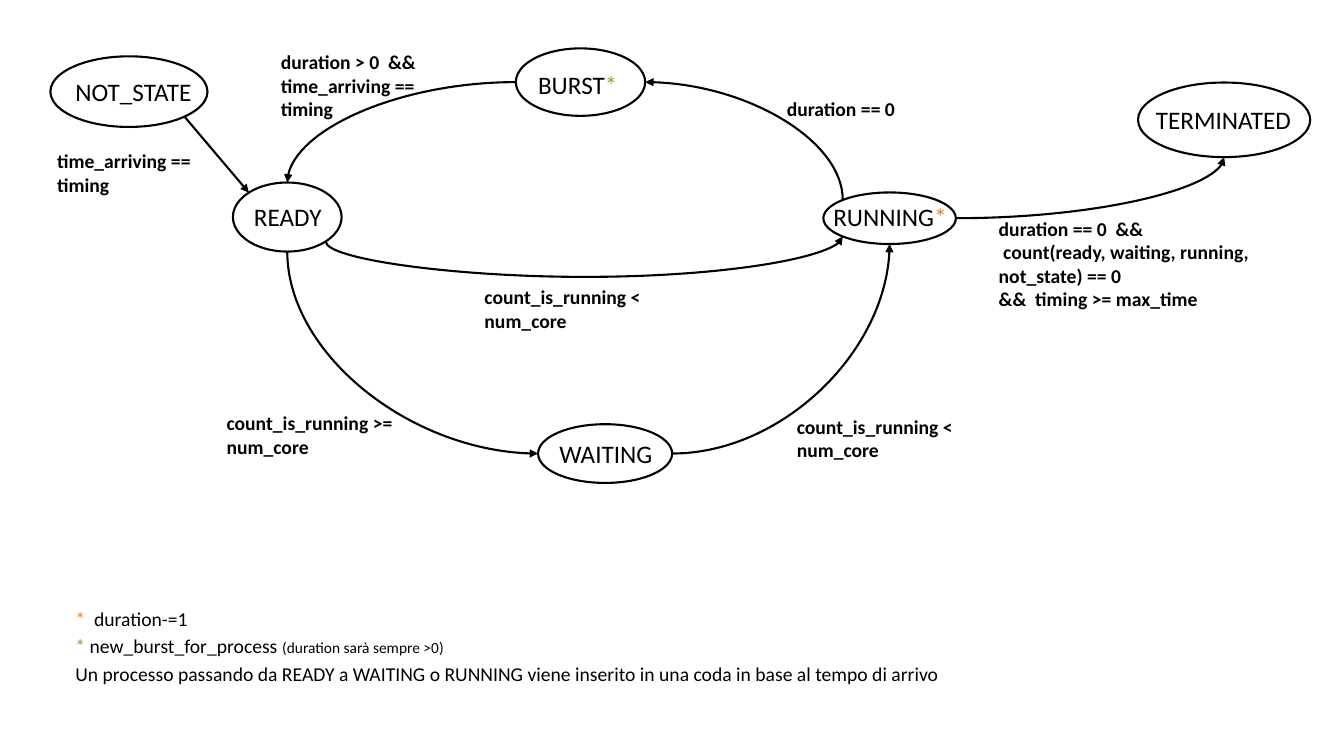
"""Build a one-slide state diagram of a process scheduler."""
from dataclasses import dataclass
from math import cos, radians, sin
from typing import NamedTuple

from lxml.etree import SubElement
from pptx import Presentation
from pptx.dml.color import RGBColor
from pptx.enum.shapes import MSO_CONNECTOR, MSO_SHAPE
from pptx.enum.text import MSO_AUTO_SIZE
from pptx.oxml.ns import qn
from pptx.shapes.autoshape import Shape
from pptx.slide import Slide
from pptx.util import Cm, Pt


@dataclass(frozen=True)
class Theme:
    """Colours, font and sizes of the slide."""
    font: str = "Calibri"
    ink: RGBColor = RGBColor(0x00, 0x00, 0x00)
    paper: RGBColor = RGBColor(0xFF, 0xFF, 0xFF)
    orange: RGBColor = RGBColor(0xED, 0x7D, 0x31)
    green: RGBColor = RGBColor(0x70, 0xAD, 0x47)
    state: Pt = Pt(18)
    label: Pt = Pt(14)
    note: Pt = Pt(11)
    line: Pt = Pt(1.5)


THEME = Theme()


class Span(NamedTuple):
    """A piece of text with its own colour or size."""
    text: str
    color: RGBColor | None = None
    size: Pt | None = None


class Box(NamedTuple):
    """A rectangle in centimetres."""
    left: float
    top: float
    width: float
    height: float


class State(NamedTuple):
    """An ellipse and the box of its name."""
    ellipse: Box
    name_box: Box
    name: tuple[Span, ...]


class Label(NamedTuple):
    """A text block, one tuple of spans per paragraph."""
    box: Box
    paragraphs: tuple[tuple[Span, ...], ...]


class Arrow(NamedTuple):
    """A transition between ellipse sites, counted anticlockwise from the top."""
    start: str
    start_site: int
    end: str
    end_site: int
    preset: str = "curvedConnector2"
    rotation: int = 0
    flips: str = ""
    dip: float = 0


STATES = {
    "not_state": State(Box(1.27, 1.42, 3.96, 1.78), Box(1.65, 1.8, 3.58, 1.02), (Span("NOT_STATE"),)),
    "ready": State(Box(5.87, 4.6, 2.74, 1.74), Box(6.15, 4.96, 2.46, 1.02), (Span("READY"),)),
    "waiting": State(Box(13.56, 10.69, 3.38, 1.48), Box(13.85, 10.92, 3.1, 1.02), (Span("WAITING"),)),
    "running": State(Box(20.75, 4.85, 3.34, 1.3), Box(20.75, 4.96, 3.96, 1.02),
                     (Span("RUNNING"), Span("*", THEME.orange))),
    "burst": State(Box(13, 1.22, 3.26, 1.7), Box(13.31, 1.62, 2.92, 1.02),
                   (Span("BURST"), Span("*", THEME.green))),
    "terminated": State(Box(28.68, 2.08, 4.34, 1.88), Box(28.88, 2.51, 4.09, 1.02), (Span("TERMINATED"),)),
}

ARROWS = (
    Arrow("not_state", 5, "ready", 1, "straightConnector1"),
    Arrow("ready", 4, "waiting", 2, rotation=270, flips="H"),
    Arrow("waiting", 6, "running", 4, flips="V"),
    Arrow("ready", 5, "running", 3, "curvedConnector3", 90, "HV", 0.89),
    Arrow("running", 1, "burst", 6, rotation=270, flips="V"),
    Arrow("burst", 2, "ready", 0, rotation=180, flips="V"),
    Arrow("running", 6, "terminated", 4, flips="V"),
)

CONDITIONS = (
    Label(Box(1.19, 3.63, 4.52, 1.45), ((Span("time_arriving == timing"),),)),
    Label(Box(5.46, 10.24, 5.87, 1.45), ((Span("count_is_running >= num_core"),),)),
    Label(Box(11.96, 7.06, 5.5, 1.45), ((Span("count_is_running < num_core"),),)),
    Label(Box(19.83, 10.32, 5.87, 1.45), ((Span("count_is_running < num_core"),),)),
    Label(Box(19.58, 2.31, 3.53, 0.86), ((Span("duration == 0"),),)),
    Label(Box(6.83, 1.14, 4.65, 2.06), ((Span("duration > 0  && time_arriving == timing"),),)),
    Label(Box(24.92, 5.33, 8.69, 2.64), (
        (Span("duration == 0  &&"),),
        (Span(" count(ready, waiting, running, not_state) == 0"),),
        (Span("&&  timing >= max_time"),),
    )),
)

LEGEND_LEFT, LEGEND_TOP, LEGEND_PITCH = 1.65, 15.16, 0.7
LEGEND = (
    (3.58, (Span("* ", THEME.orange), Span(" duration-=1"))),
    (10.36, (Span("* ", THEME.green), Span("new_burst_for_process "),
             Span("(duration sarà sempre >0)", size=THEME.note))),
    (22.35, (Span("Un processo passando da READY a WAITING o RUNNING viene inserito "
                  "in una coda in base al tempo di arrivo"),)),
)


def add_text(s: Slide, label: Label, size: Pt, bold: bool = False) -> None:
    """Add a wrapping text box."""
    tf = s.shapes.add_textbox(*map(Cm, label.box)).text_frame
    tf.word_wrap = True
    tf.auto_size = MSO_AUTO_SIZE.SHAPE_TO_FIT_TEXT
    for i, spans in enumerate(label.paragraphs):
        p = tf.add_paragraph() if i else tf.paragraphs[0]
        p.font.name, p.font.size, p.font.bold = THEME.font, size, bold
        p.font.color.rgb = THEME.ink
        for span in spans:
            r = p.add_run()
            r.text = span.text
            if span.color is not None:
                r.font.color.rgb = span.color
            if span.size is not None:
                r.font.size = span.size


def add_state(s: Slide, state: State) -> Shape:
    """Add an ellipse with its name on top."""
    sp = s.shapes.add_shape(MSO_SHAPE.OVAL, *map(Cm, state.ellipse))
    sp.shadow.inherit = False
    sp.fill.solid()
    sp.fill.fore_color.rgb = THEME.paper
    sp.line.color.rgb = THEME.ink
    sp.line.width = THEME.line
    add_text(s, Label(state.name_box, (state.name,)), THEME.state)
    return sp


def site_point(box: Box, site: int) -> tuple[float, float]:
    """Return the position of an ellipse connection site."""
    angle = radians(45 * site)
    return (box.left + box.width / 2 * (1 - sin(angle)),
            box.top + box.height / 2 * (1 - cos(angle)))


def add_arrow(s: Slide, arrow: Arrow, ellipses: dict[str, Shape]) -> None:
    """Add a connector glued to two ellipses, with an arrowhead at its end."""
    x1, y1 = site_point(STATES[arrow.start].ellipse, arrow.start_site)
    x2, y2 = site_point(STATES[arrow.end].ellipse, arrow.end_site)
    width, height = abs(x2 - x1), abs(y2 - y1)
    if arrow.rotation % 180:
        width, height = height, width
    left, top = (x1 + x2 - width) / 2, (y1 + y2 - height) / 2
    kind = MSO_CONNECTOR.STRAIGHT if arrow.preset.startswith("straight") else MSO_CONNECTOR.CURVE
    cxn = s.shapes.add_connector(kind, *map(Cm, (left, top, left + width, top + height)))
    cxn.line.color.rgb = THEME.ink
    cxn.line.width = THEME.line
    props = cxn._element.spPr
    xfrm = props.find(qn("a:xfrm"))
    if arrow.rotation:
        xfrm.set("rot", str(arrow.rotation * 60000))
    for flip in arrow.flips:
        xfrm.set(f"flip{flip}", "1")
    geom = props.find(qn("a:prstGeom"))
    geom.set("prst", arrow.preset)
    if arrow.dip:
        ratio = round(-arrow.dip / width * 100000)
        SubElement(geom.find(qn("a:avLst")), qn("a:gd"), name="adj1", fmla=f"val {ratio}")
    SubElement(props.find(qn("a:ln")), qn("a:tailEnd"), type="triangle")
    SubElement(props, qn("a:effectLst"))
    glue = cxn._element.find(f".//{qn('p:cNvCxnSpPr')}")
    for tag, name, site in (("a:stCxn", arrow.start, arrow.start_site),
                            ("a:endCxn", arrow.end, arrow.end_site)):
        SubElement(glue, qn(tag), id=str(ellipses[name].shape_id), idx=str(site))


prs = Presentation()
prs.slide_width, prs.slide_height = Cm(33.87), Cm(19.05)
s = prs.slides.add_slide(prs.slide_layouts[6])
ellipses = {name: add_state(s, state) for name, state in STATES.items()}
for arrow in ARROWS:
    add_arrow(s, arrow, ellipses)
for condition in CONDITIONS:
    add_text(s, condition, THEME.label, bold=True)
for row, (width, spans) in enumerate(LEGEND):
    box = Box(LEGEND_LEFT, LEGEND_TOP + row * LEGEND_PITCH, width, 0.86)
    add_text(s, Label(box, (spans,)), THEME.label)
prs.save("out.pptx")
